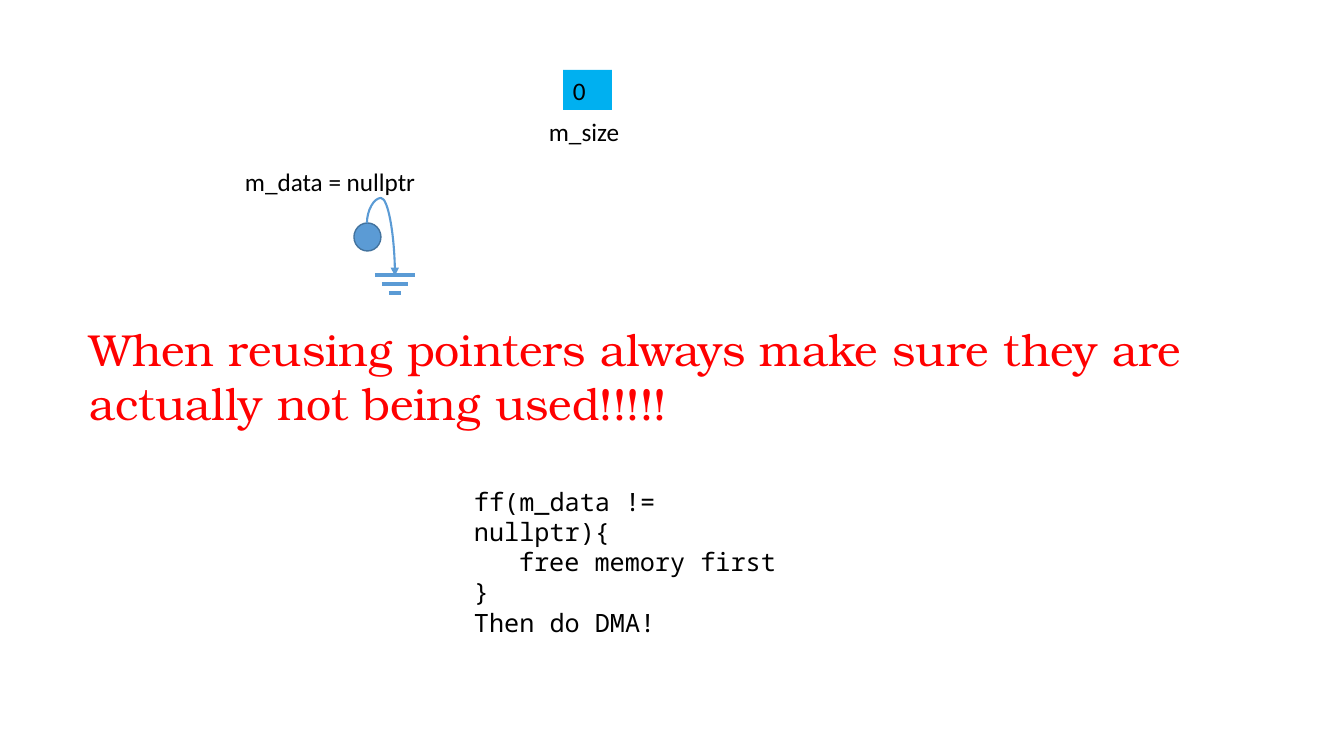
import lxml.etree
import pptx
import pptx.dml.color
import pptx.enum.shapes
import pptx.enum.text
import pptx.oxml.ns
import pptx.util

PX = 9144000 / 1008  # EMU in one px, at 100.8 px to the inch
BLUE, OUTLINE, CYAN = "5B9BD5", "43739E", "00B0F0"
BLACK, RED = "000000", "FF0000"
SHAPES = pptx.enum.shapes.MSO_SHAPE
CONNECTORS = pptx.enum.shapes.MSO_CONNECTOR
qn = pptx.oxml.ns.qn


def px(*lengths):
    return [pptx.util.Emu(round(length * PX)) for length in lengths]


def color(hex_string):
    return pptx.dml.color.RGBColor.from_string(hex_string)


def write(shape, text, font="Calibri", size=18, ink=BLACK, spacing=None, indents=()):
    """Fill a shape with text; indents gives the left indent of each paragraph in px."""
    frame = shape.text_frame
    frame.word_wrap = True
    frame.auto_size = pptx.enum.text.MSO_AUTO_SIZE.NONE
    frame.vertical_anchor = pptx.enum.text.MSO_ANCHOR.TOP
    frame.text = text
    for index, paragraph in enumerate(frame.paragraphs):
        paragraph.alignment = pptx.enum.text.PP_ALIGN.LEFT
        paragraph.line_spacing = spacing
        paragraph.font.name = font
        paragraph.font.size = pptx.util.Pt(size)
        paragraph.font.color.rgb = color(ink)
        for run in paragraph.runs:
            run.font.name = font
            run.font.size = pptx.util.Pt(size)
            run.font.color.rgb = color(ink)
        if index < len(indents):
            properties = paragraph._p.get_or_add_pPr()
            properties.set("marL", str(px(indents[index])[0]))
            properties.set("indent", "0")


class SlideBuilder:
    def __init__(self, slide):
        self.slide = slide

    def title(self, text, left, top, width, height, **style):
        shape = self.slide.shapes.title
        shape.left, shape.top, shape.width, shape.height = px(left, top, width, height)
        write(shape, text, **style)

    def label(self, text, left, top, width, height, **style):
        write(self.slide.shapes.add_textbox(*px(left, top, width, height)), text, **style)

    def shape(self, kind, left, top, width, height, fill, line=None):
        shape = self.slide.shapes.add_shape(kind, *px(left, top, width, height))
        shape.shadow.inherit = False
        shape.fill.solid()
        shape.fill.fore_color.rgb = color(fill)
        if line:
            shape.line.color.rgb = color(line)
            shape.line.width = pptx.util.Pt(1)
        else:
            shape.line.fill.background()
        return shape

    def line(self, x1, y1, x2, y2, weight, kind=CONNECTORS.STRAIGHT):
        connector = self.slide.shapes.add_connector(kind, *px(x1, y1, x2, y2))
        connector.line.color.rgb = color(BLUE)
        connector.line.width = pptx.util.Pt(weight)
        lxml.etree.SubElement(connector._element.spPr, qn("a:effectLst"))
        return connector

    def looping_arrow(self, x1, y1, x2, y2, rise):
        """Curve that leaves upwards by rise, then comes down on its end point."""
        width, height = y2 - y1, x2 - x1  # swapped by the quarter turn
        left, top = (x1 + x2 - width) / 2, (y1 + y2 - height) / 2
        connector = self.line(left, top, left + width, top + height, 1.5, CONNECTORS.CURVE)
        properties = connector._element.spPr
        transform = properties.find(qn("a:xfrm"))
        transform.set("rot", "16200000")
        transform.set("flipH", "1")
        guides = properties.find(qn("a:prstGeom")).get_or_add_avLst()
        lxml.etree.SubElement(guides, qn("a:gd"), name="adj1",
                              fmla=f"val {round(-100000 * rise / width)}")
        lxml.etree.SubElement(connector.line._get_or_add_ln(), qn("a:tailEnd"), type="triangle")


def main():
    presentation = pptx.Presentation()
    presentation.slide_width, presentation.slide_height = px(1344, 756)
    title_only = presentation.slide_layouts[5]
    builder = SlideBuilder(presentation.slides.add_slide(title_only))

    # Warning
    builder.title("When reusing pointers always make sure they are \vactually not being used!!!!!",
                  79, 317, 1136, 119, font="TeX Gyre Bonum", size=32, ink=RED)

    # Null pointer, looping down to ground
    builder.shape(SHAPES.OVAL, 354, 223, 27, 28, BLUE, line=OUTLINE)
    builder.looping_arrow(367, 223, 395, 276, rise=25)
    builder.label("m_data = nullptr", 235, 161, 249, 40)
    for step, half_width in enumerate((20, 13, 6)):
        y = 275 + 9 * step
        builder.line(395 - half_width, y, 395 + half_width, y, 2.25)

    # Size field
    builder.label("m_size", 539, 111, 117, 40)
    size_field = builder.shape(SHAPES.RECTANGLE, 563, 70, 49, 40, CYAN)
    write(size_field, "0")

    # Pseudocode
    builder.label("ff(m_data != nullptr){\nfree memory first\n}\nThen do DMA!",
                  464, 481, 335, 132, font="Noto Sans Mono",
                  spacing=pptx.util.Pt(21.6), indents=(0, 45))

    presentation.save("out.pptx")


if __name__ == "__main__":
    main()
